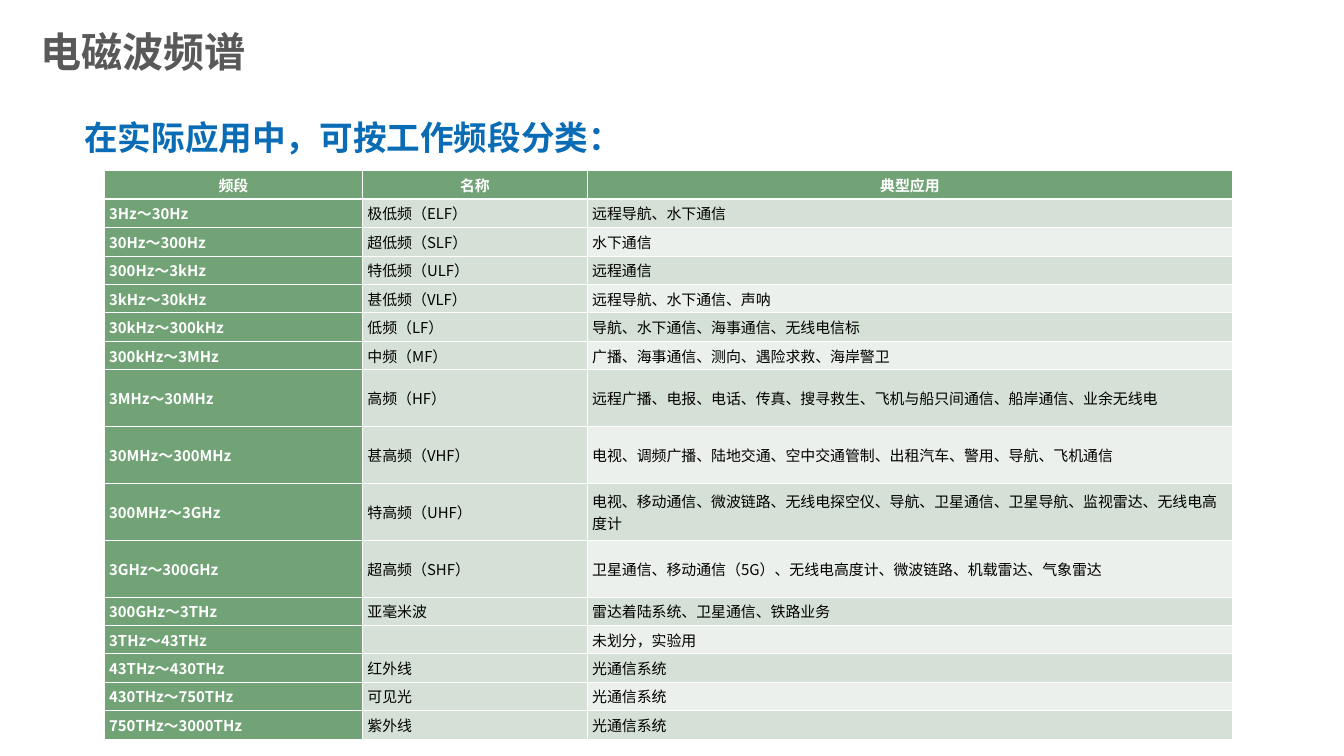
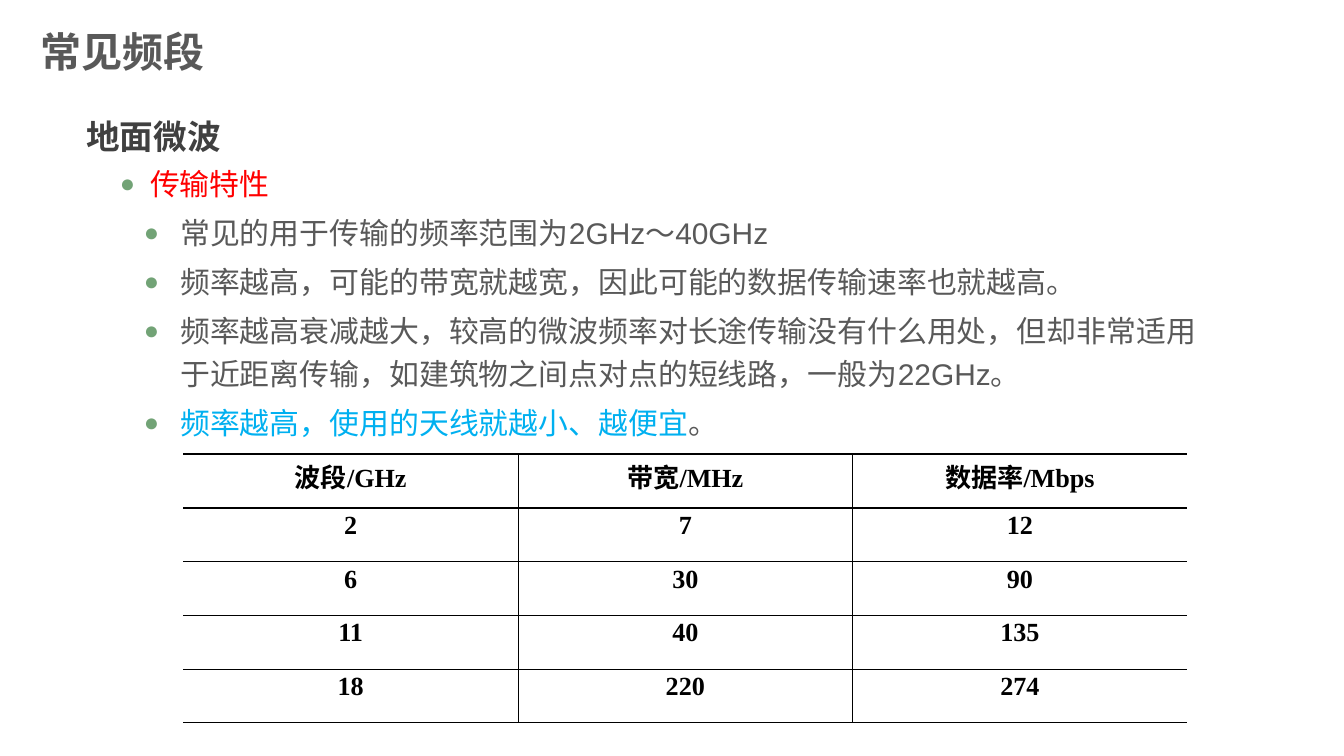
import pptx
import pptx.dml.color
import pptx.enum.shapes
import pptx.enum.text
import pptx.oxml.ns
import pptx.util
from lxml import etree

RGBColor = pptx.dml.color.RGBColor
ANCHOR = pptx.enum.text.MSO_ANCHOR
ALIGN = pptx.enum.text.PP_ALIGN

EMU_PER_PX = 9525
WHITE = RGBColor(0xFF, 0xFF, 0xFF)
BLACK = RGBColor(0, 0, 0)
GRAY = RGBColor(0x59, 0x59, 0x59)
DARK_GRAY = RGBColor(0x40, 0x40, 0x40)
BLUE = RGBColor(0x0A, 0x6C, 0xB5)
SKY = RGBColor(0x00, 0xB0, 0xF0)
RED = RGBColor(0xFF, 0, 0)
GREEN = RGBColor(0x72, 0xA3, 0x76)
BAND_DARK = RGBColor(0xD5, 0xE0, 0xD6)
BAND_LIGHT = RGBColor(0xEB, 0xF0, 0xEC)

CHINESE_FONT = "Noto Sans CJK SC"
TITLE_FONT = {"name": "Arial", "size": 44, "bold": True, "color": GRAY}
HEADING_FONT = {"name": "Arial", "size": 36, "bold": True, "color": DARK_GRAY}
LEAD_FONT = {**HEADING_FONT, "name": CHINESE_FONT, "color": BLUE}
BODY_FONT = {"name": "Arial", "size": 32, "bold": False, "color": GRAY}
SPECTRUM_FONT = {"name": CHINESE_FONT, "size": 16, "bold": False, "color": BLACK}
SPECTRUM_HEAD_FONT = {**SPECTRUM_FONT, "bold": True, "color": WHITE}
RATE_FONT = {"name": "Times New Roman", "size": 28, "bold": True, "color": BLACK}

HEADING_PARAGRAPH = {"line_spacing": 1.5}
TOPIC_PARAGRAPH = {"line_spacing": 1.1, "space_before": pptx.util.Pt(6.4)}
POINT_PARAGRAPH = {"line_spacing": 1.2, "space_before": pptx.util.Pt(6.4)}
TOPIC_INDENT = (91, 43)
POINT_INDENT = (134, 52)

SPECTRUM = [
    ("频段", "名称", "典型应用"),
    ("3Hz～30Hz", "极低频（ELF）", "远程导航、水下通信"),
    ("30Hz～300Hz", "超低频（SLF）", "水下通信"),
    ("300Hz～3kHz", "特低频（ULF）", "远程通信"),
    ("3kHz～30kHz", "甚低频（VLF）", "远程导航、水下通信、声呐"),
    ("30kHz～300kHz", "低频（LF）", "导航、水下通信、海事通信、无线电信标"),
    ("300kHz～3MHz", "中频（MF）", "广播、海事通信、测向、遇险求救、海岸警卫"),
    ("3MHz～30MHz", "高频（HF）",
     "远程广播、电报、电话、传真、搜寻救生、飞机与船只间通信、船岸通信、业余无线电"),
    ("30MHz～300MHz", "甚高频（VHF）",
     "电视、调频广播、陆地交通、空中交通管制、出租汽车、警用、导航、飞机通信"),
    ("300MHz～3GHz", "特高频（UHF）",
     "电视、移动通信、微波链路、无线电探空仪、导航、卫星通信、卫星导航、监视雷达、无线电高度计"),
    ("3GHz～300GHz", "超高频（SHF）",
     "卫星通信、移动通信（5G）、无线电高度计、微波链路、机载雷达、气象雷达"),
    ("300GHz～3THz", "亚毫米波", "雷达着陆系统、卫星通信、铁路业务"),
    ("3THz～43THz", "", "未划分，实验用"),
    ("43THz～430THz", "红外线", "光通信系统"),
    ("430THz～750THz", "可见光", "光通信系统"),
    ("750THz～3000THz", "紫外线", "光通信系统"),
]
TALL_ROWS = range(7, 11)

MICROWAVE_RATES = [
    ("波段/GHz", "带宽/MHz", "数据率/Mbps"),
    ("2", "7", "12"),
    ("6", "30", "90"),
    ("11", "40", "135"),
    ("18", "220", "274"),
]

MICROWAVE_POINTS = [
    [("常见的用于传输的频率范围为2GHz～40GHz", GRAY)],
    [("频率越高，可能的带宽就越宽，因此可能的数据传输速率也就越高。", GRAY)],
    [("频率越高衰减越大，较高的微波频率对长途传输没有什么用处，"
      "但却非常适用于近距离传输，如建筑物之间点对点的短线路，一般为22GHz。", GRAY)],
    [("频率越高，使用的天线就越小、越便宜", SKY), ("。", GRAY)],
]


def px(length):
    return pptx.util.Emu(round(length * EMU_PER_PX))


def add_element(parent, tag, **attributes):
    return etree.SubElement(parent, pptx.oxml.ns.qn(tag), attributes)


def set_attributes(target, values):
    for name, value in values.items():
        setattr(target, name, value)


def add_run(paragraph, text, font):
    run = paragraph.add_run()
    run.text = text
    run.font.color.rgb = font["color"]
    set_attributes(run.font, {"name": font["name"], "bold": font["bold"],
                              "size": pptx.util.Pt(font["size"])})
    add_element(run._r.get_or_add_rPr(), "a:ea", typeface=CHINESE_FONT)


def add_bullet(paragraph, left, hanging):
    properties = paragraph._p.get_or_add_pPr()
    properties.set("marL", str(px(left)))
    properties.set("indent", str(-px(hanging)))
    color = add_element(properties, "a:buClr")
    add_element(color, "a:srgbClr", val=str(GREEN))
    add_element(properties, "a:buSzPct", val="85000")
    add_element(properties, "a:buFont", typeface="Arial")
    add_element(properties, "a:buChar", char="●")


def add_footer_block(slide):
    block = slide.shapes.add_shape(pptx.enum.shapes.MSO_SHAPE.RECTANGLE,
                                   px(45), px(991), px(150), px(79))
    block.shadow.inherit = False
    block.fill.solid()
    block.fill.fore_color.rgb = WHITE
    block.line.color.rgb = WHITE
    block.line.width = pptx.util.Pt(2)


def add_titled_slide(presentation, title):
    slide = presentation.slides.add_slide(presentation.slide_layouts[5])
    add_footer_block(slide)
    shape = slide.shapes.title
    set_attributes(shape, {"left": px(48), "top": px(34), "width": px(780), "height": px(68)})
    set_attributes(shape.text_frame, {"vertical_anchor": ANCHOR.MIDDLE, "word_wrap": True,
                                      "margin_top": px(10), "margin_bottom": 0})
    paragraph = shape.text_frame.paragraphs[0]
    paragraph.alignment = ALIGN.LEFT
    add_run(paragraph, title, TITLE_FONT)
    return slide


def add_body(slide, left, top, width, height, heading, font):
    """Add a text box that opens with a heading and return its text frame."""
    frame = slide.shapes.add_textbox(px(left), px(top), px(width), px(height)).text_frame
    frame.word_wrap = True
    paragraph = frame.paragraphs[0]
    set_attributes(paragraph, HEADING_PARAGRAPH)
    add_run(paragraph, heading, font)
    return frame


def add_bullet_paragraph(frame, runs, indent, paragraph_format):
    paragraph = frame.add_paragraph()
    add_bullet(paragraph, *indent)
    set_attributes(paragraph, paragraph_format)
    for text, color in runs:
        add_run(paragraph, text, {**BODY_FONT, "color": color})


def set_borders(cell, color, widths):
    """Draw the borders; widths are points for left, right, top, bottom, and 0 hides one."""
    properties = cell._tc.get_or_add_tcPr()
    for side, width in zip("LRTB", widths):
        line = add_element(properties, f"a:ln{side}", w=str(pptx.util.Pt(width)))
        if width:
            fill = add_element(line, "a:solidFill")
            add_element(fill, "a:srgbClr", val=str(color))
        else:
            add_element(line, "a:noFill")


def add_plain_table(slide, left, top, column_widths, row_heights):
    table = slide.shapes.add_table(
        len(row_heights), len(column_widths), px(left), px(top),
        px(sum(column_widths)), px(sum(row_heights))).table
    set_attributes(table, {"first_row": False, "horz_banding": False})
    for column, width in zip(table.columns, column_widths):
        column.width = px(width)
    for row, height in zip(table.rows, row_heights):
        row.height = px(height)
    return table


def fill_cell(cell, text, font, alignment):
    paragraph = cell.text_frame.paragraphs[0]
    paragraph.alignment = alignment
    if text:
        add_run(paragraph, text, font)


def add_spectrum_table(slide):
    heights = [81.2 if row in TALL_ROWS else 40.6 for row in range(len(SPECTRUM))]
    table = add_plain_table(slide, 149, 244, [369, 321, 922], heights)
    for row, texts in enumerate(SPECTRUM):
        for column, text in enumerate(texts):
            cell = table.cell(row, column)
            is_head = row == 0 or column == 0
            set_attributes(cell, {"vertical_anchor": ANCHOR.MIDDLE,
                                  "margin_left": px(7), "margin_right": px(7),
                                  "margin_top": 0, "margin_bottom": 0})
            fill_cell(cell, text, SPECTRUM_HEAD_FONT if is_head else SPECTRUM_FONT,
                      ALIGN.CENTER if row == 0 else ALIGN.LEFT)
            set_borders(cell, WHITE, (1, 1, 3 if row == 1 else 1, 3 if row == 0 else 1))
            cell.fill.solid()
            if is_head:
                cell.fill.fore_color.rgb = GREEN
            elif column == 1 or row % 2:
                cell.fill.fore_color.rgb = BAND_DARK
            else:
                cell.fill.fore_color.rgb = BAND_LIGHT


def add_rate_table(slide):
    table = add_plain_table(slide, 262, 649, [478] * 3, [76.7] * len(MICROWAVE_RATES))
    for row, texts in enumerate(MICROWAVE_RATES):
        for column, text in enumerate(texts):
            cell = table.cell(row, column)
            fill_cell(cell, text, RATE_FONT, ALIGN.CENTER)
            set_borders(cell, BLACK, (
                1 if column > 0 else 0,
                1 if column < 2 else 0,
                2.25 if row < 2 else 1,
                2.25 if row == 0 else 1))
            cell.fill.background()


def build_spectrum_slide(presentation):
    slide = add_titled_slide(presentation, "电磁波频谱")
    add_body(slide, 111, 133, 1618, 101, "在实际应用中，可按工作频段分类：", LEAD_FONT)
    add_spectrum_table(slide)


def build_microwave_slide(presentation):
    slide = add_titled_slide(presentation, "常见频段")
    frame = add_body(slide, 114, 132, 1618, 713, "地面微波", HEADING_FONT)
    add_bullet_paragraph(frame, [("传输特性", RED)], TOPIC_INDENT, TOPIC_PARAGRAPH)
    for runs in MICROWAVE_POINTS:
        add_bullet_paragraph(frame, runs, POINT_INDENT, POINT_PARAGRAPH)
    add_rate_table(slide)


def main():
    presentation = pptx.Presentation()
    set_attributes(presentation, {"slide_width": px(1920), "slide_height": px(1080)})
    build_spectrum_slide(presentation)
    build_microwave_slide(presentation)
    presentation.save("out.pptx")


if __name__ == "__main__":
    main()
